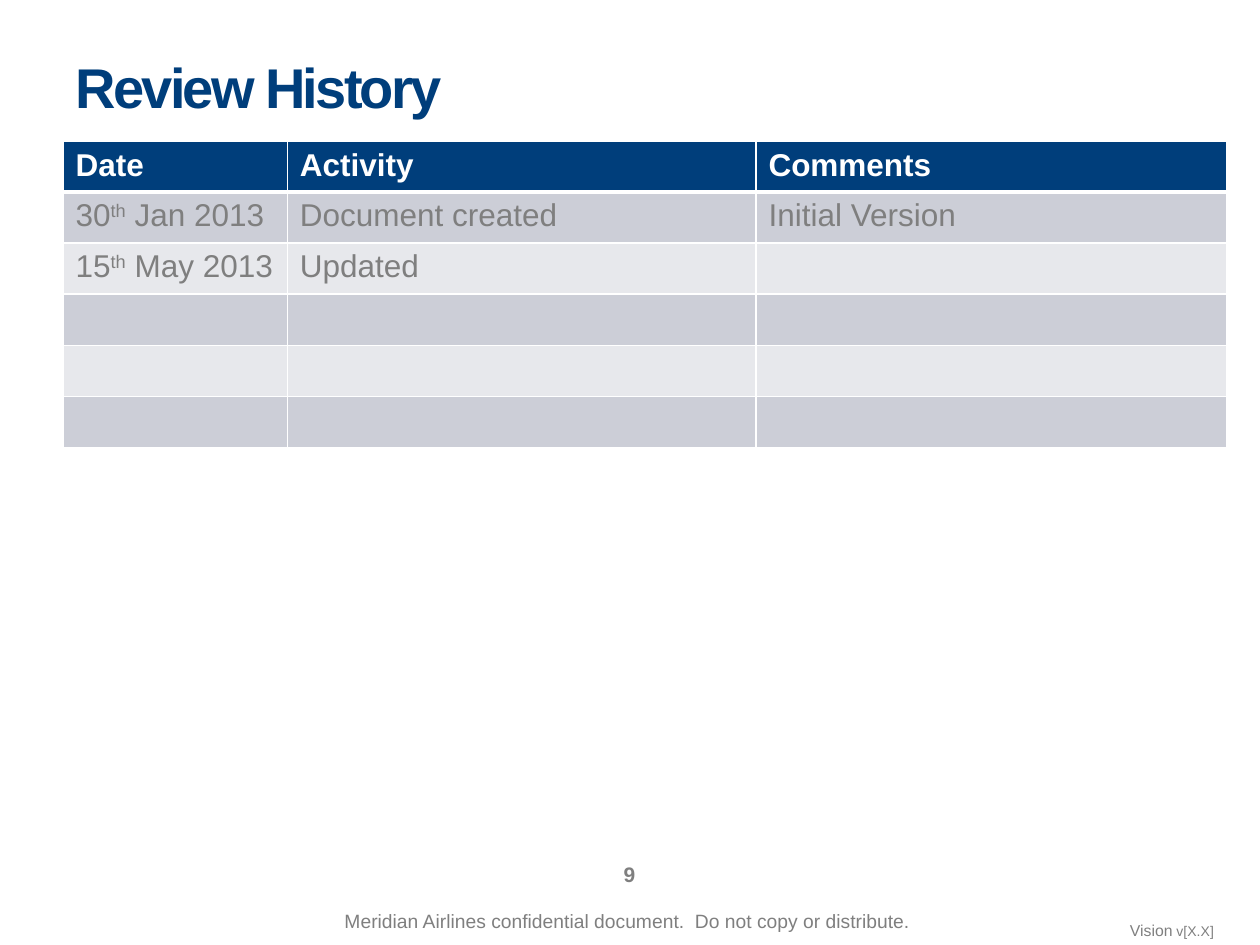
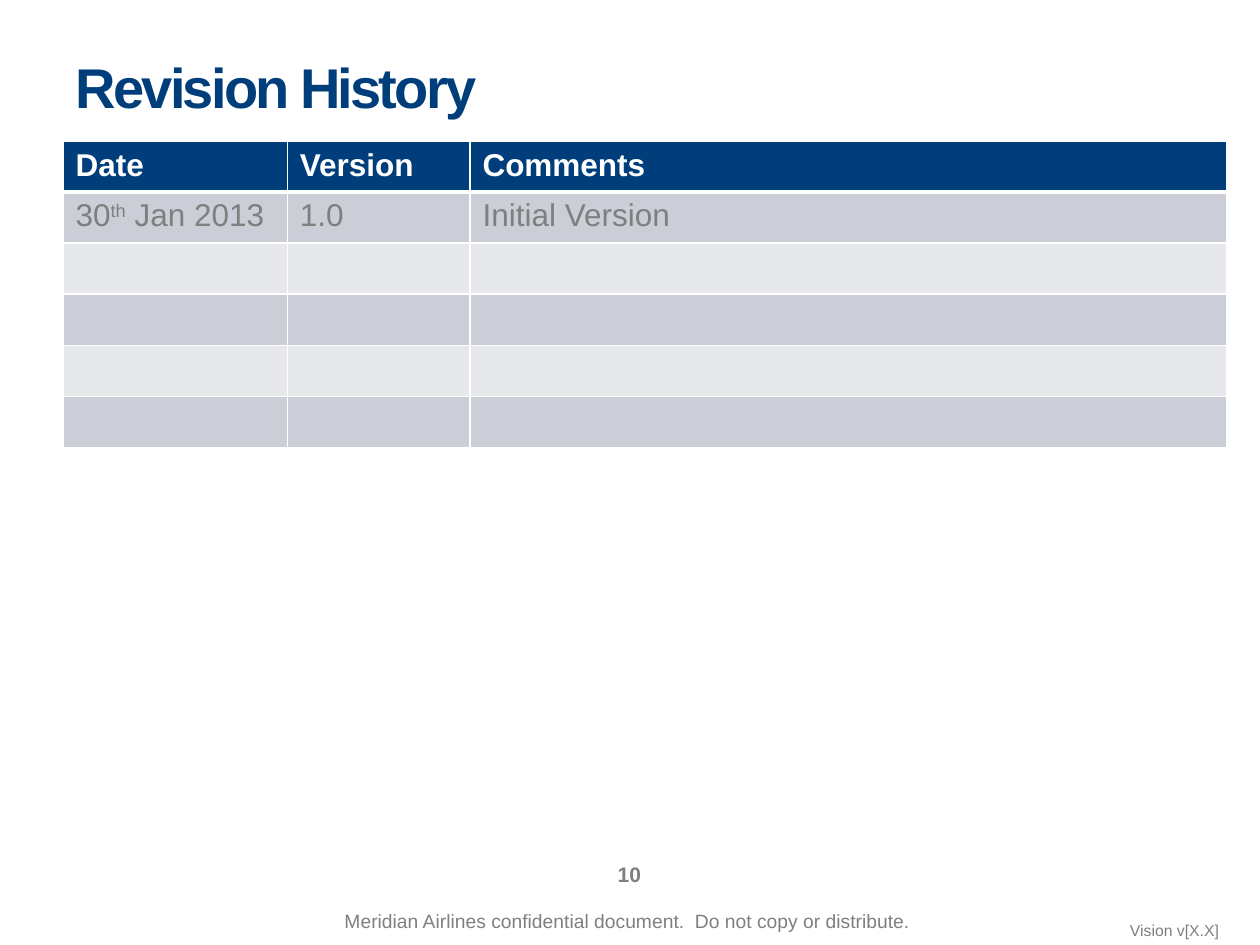
from dataclasses import dataclass

from lxml.etree import SubElement
from pptx import Presentation
from pptx.dml.color import RGBColor
from pptx.enum.text import MSO_ANCHOR, MSO_AUTO_SIZE, PP_ALIGN
from pptx.oxml.ns import qn
from pptx.util import Pt

PX = 4572  # EMU per px, 200 px to the inch
FONT = "Arial"
NAVY = RGBColor(0x00, 0x3E, 0x7B)
GRAY = RGBColor(0x7F, 0x7F, 0x7F)
WHITE = RGBColor(0xFF, 0xFF, 0xFF)
BANDS = (RGBColor(0xE7, 0xE8, 0xEC), RGBColor(0xCC, 0xCE, 0xD7))

ROWS, ROW_HEIGHT = 6, 81
TABLE_LEFT, TABLE_TOP = 100, 224
CONFIDENTIAL = "Meridian Airlines confidential document.  Do not copy or distribute."


@dataclass(frozen=True)
class Box:
    left: int
    top: int
    width: int
    height: int

    def emu(self) -> tuple[int, ...]:
        return tuple(v * PX for v in (self.left, self.top, self.width, self.height))


@dataclass(frozen=True)
class History:
    title: str
    page: int
    widths: tuple[int, ...]
    rows: tuple[tuple[str, ...], ...]  # ^ marks surround superscript
    version: tuple[tuple[str, int], ...]  # text and size of each run


TITLE = Box(100, 60, 1800, 140)
CONFIDENTIAL_BOX = Box(402, 1436, 1188, 52)
PAGE_BOX = Box(766, 1348, 466, 80)
VERSION_BOX = Box(1774, 1452, 192, 50)

HISTORIES = (
    History("Review History", 9, (356, 744, 748),
            (("Date", "Activity", "Comments"),
             ("30^th^ Jan 2013", "Document created", "Initial Version"),
             ("15^th^ May 2013", "Updated", "")),
            (("Vision", 9), (" v[X.X]", 8))),
    History("Revision History", 10, (356, 290, 1202),
            (("Date", "Version", "Comments"),
             ("30^th^ Jan 2013", "1.0", "Initial Version")),
            (("Vision v[X.X]", 9),)),
)


def add_text(p, text: str, *, size: int, color=GRAY, bold=False, spacing=0) -> None:
    """Append text to a paragraph, raising the parts between ^ marks."""
    for i, part in enumerate(text.split("^")):
        r = p.add_run()
        r.text = part
        r.font.name, r.font.size, r.font.bold = FONT, Pt(size), bold
        r.font.color.rgb = color
        if spacing:
            r.font._element.set("spc", str(spacing))
        if i % 2:
            r.font._element.set("baseline", "30000")


def add_box(s, box: Box, *, align=PP_ALIGN.LEFT, anchor=MSO_ANCHOR.TOP, wrap=True):
    """Add a text box and return its first paragraph."""
    tf = s.shapes.add_textbox(*box.emu()).text_frame
    tf.word_wrap = wrap
    tf.vertical_anchor = anchor
    p = tf.paragraphs[0]
    p.alignment = align
    return p


def set_borders(cell, bottom: int) -> None:
    tc_pr = cell._tc.get_or_add_tcPr()
    for side, points in (("L", 1), ("R", 1), ("T", 1), ("B", bottom)):
        ln = SubElement(tc_pr, qn(f"a:ln{side}"), w=str(Pt(points)))
        SubElement(SubElement(ln, qn("a:solidFill")), qn("a:srgbClr"), val=str(WHITE))


def add_title(s, text: str) -> None:
    sp = s.shapes.title
    sp.left, sp.top, sp.width, sp.height = TITLE.emu()
    tf = sp.text_frame
    tf.auto_size = MSO_AUTO_SIZE.NONE
    tf.vertical_anchor = MSO_ANCHOR.BOTTOM
    p = tf.paragraphs[0]
    p.alignment = PP_ALIGN.LEFT
    add_text(p, text, size=32, color=NAVY, bold=True, spacing=-160)


def add_history_table(s, history: History) -> None:
    box = Box(TABLE_LEFT, TABLE_TOP, sum(history.widths), ROWS * ROW_HEIGHT)
    table = s.shapes.add_table(ROWS, len(history.widths), *box.emu()).table
    for column, width in zip(table.columns, history.widths):
        column.width = width * PX
    for i, row in enumerate(table.rows):
        header = i == 0
        texts = history.rows[i] if i < len(history.rows) else ("",) * len(history.widths)
        for cell, text in zip(row.cells, texts):
            set_borders(cell, 3 if header else 1)
            cell.fill.solid()
            cell.fill.fore_color.rgb = NAVY if header else BANDS[i % 2]
            if text:
                add_text(cell.text_frame.paragraphs[0], text, size=18,
                         color=WHITE if header else GRAY, bold=header)


def add_footers(s, history: History) -> None:
    centred = {"align": PP_ALIGN.CENTER, "anchor": MSO_ANCHOR.MIDDLE}
    add_text(add_box(s, CONFIDENTIAL_BOX, wrap=False, **centred), CONFIDENTIAL, size=11)
    add_text(add_box(s, PAGE_BOX, **centred), str(history.page), size=12, bold=True)
    p = add_box(s, VERSION_BOX)
    for text, size in history.version:
        add_text(p, text, size=size)


def main() -> None:
    prs = Presentation()
    prs.slide_width, prs.slide_height = 2000 * PX, 1500 * PX
    for history in HISTORIES:
        s = prs.slides.add_slide(prs.slide_layouts.get_by_name("Title Only"))
        add_title(s, history.title)
        add_history_table(s, history)
        add_footers(s, history)
    prs.save("out.pptx")


if __name__ == "__main__":
    main()
